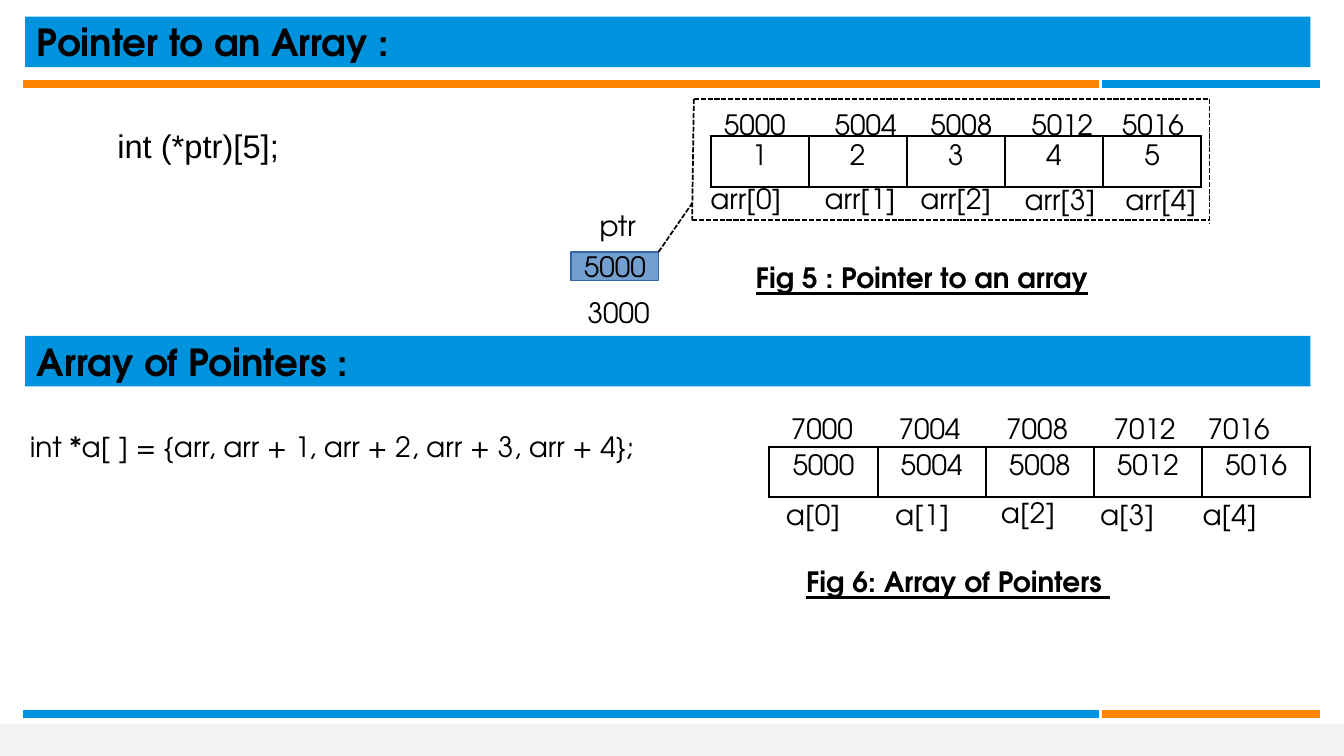
from dataclasses import dataclass

from lxml import etree
from pptx import Presentation
from pptx.dml.color import RGBColor
from pptx.enum.dml import MSO_LINE
from pptx.enum.shapes import MSO_CONNECTOR, MSO_SHAPE
from pptx.enum.text import MSO_ANCHOR, PP_ALIGN
from pptx.oxml.ns import qn
from pptx.util import Inches, Pt

RECT = MSO_SHAPE.RECTANGLE
STRAIGHT = MSO_CONNECTOR.STRAIGHT
DASH = MSO_LINE.SQUARE_DOT
CENTER, LEFT = PP_ALIGN.CENTER, PP_ALIGN.LEFT
MIDDLE, TOP = MSO_ANCHOR.MIDDLE, MSO_ANCHOR.TOP

FONT = "TeX Gyre Adventor"
BLACK, BLUE, ORANGE = "000000", "0093DD", "FF8500"
TEXT_HEIGHT = 0.29


@dataclass
class Label:
    text: str
    left: float
    top: float
    width: float = 0.75
    size: int = 12
    font: str = FONT
    bold: bool = False
    underline: bool = False


@dataclass
class ArrayRow:
    left: float
    top: float
    width: float
    values: list[str]
    addresses: list[str]
    address_lefts: list[float]
    address_top: float
    name: str
    name_lefts: list[float]
    name_tops: list[float]


def color(value: str) -> RGBColor:
    return RGBColor.from_string(value)


def add_run(p, text: str, size: int = 12, font: str = FONT,
            bold: bool = False, underline: bool = False) -> None:
    r = p.add_run()
    r.text = text
    r.font.size, r.font.name = Pt(size), font
    r.font.bold, r.font.underline = bold, underline
    r.font.color.rgb = color(BLACK)


def add_label(s, label: Label) -> None:
    box = s.shapes.add_textbox(Inches(label.left), Inches(label.top),
                               Inches(label.width), Inches(TEXT_HEIGHT))
    tf = box.text_frame
    tf.word_wrap = True
    add_run(tf.paragraphs[0], label.text, label.size, label.font,
            label.bold, label.underline)


def add_box(s, left: float, top: float, width: float, height: float, fill: str,
            line: str | None = None):
    sp = s.shapes.add_shape(RECT, Inches(left), Inches(top),
                            Inches(width), Inches(height))
    sp.shadow.inherit = False
    sp.fill.solid()
    sp.fill.fore_color.rgb = color(fill)
    if line:
        sp.line.color.rgb = color(line)
        sp.line.width = Pt(0.75)
    else:
        sp.line.fill.background()
    return sp


def add_heading(s, text: str, top: float) -> None:
    tf = add_box(s, 0.15, top, 7.65, 0.3, BLUE).text_frame
    tf.margin_left = tf.margin_right = Inches(0.07)
    tf.margin_top = tf.margin_bottom = Inches(0.04)
    tf.vertical_anchor = MIDDLE
    tf.paragraphs[0].alignment = LEFT
    add_run(tf.paragraphs[0], text, 16, bold=True)


def add_line(s, x1: float, y1: float, x2: float, y2: float,
             line: str = BLACK, width: float = 0.75, dashed: bool = False) -> None:
    cx = s.shapes.add_connector(STRAIGHT, Inches(x1), Inches(y1),
                                Inches(x2), Inches(y2))
    cx.line.color.rgb = color(line)
    cx.line.width = Pt(width)
    if dashed:
        cx.line.dash_style = DASH
    etree.SubElement(cx.element.spPr, qn("a:effectLst"))


def add_borders(cell) -> None:
    tc_pr = cell._tc.get_or_add_tcPr()
    for i, side in enumerate(("lnL", "lnR", "lnT", "lnB")):
        ln = etree.Element(qn(f"a:{side}"), w=str(Pt(1)))
        fill = etree.SubElement(ln, qn("a:solidFill"))
        etree.SubElement(fill, qn("a:srgbClr"), val=BLACK)
        tc_pr.insert(i, ln)


def add_array(s, row: ArrayRow) -> None:
    """Draw the cells of an array with addresses above and names below."""
    count = len(row.values)
    table = s.shapes.add_table(1, count, Inches(row.left), Inches(row.top),
                               Inches(row.width), Inches(0.3)).table
    table.first_row = table.horz_banding = False
    for i, value in enumerate(row.values):
        table.columns[i].width = Inches(row.width / count)
        cell = table.cell(0, i)
        cell.fill.background()
        cell.vertical_anchor = TOP
        cell.margin_left = cell.margin_right = Inches(0.05)
        cell.margin_top = cell.margin_bottom = Inches(0.05)
        p = cell.text_frame.paragraphs[0]
        p.alignment = CENTER
        add_run(p, value)
        add_borders(cell)
        add_label(s, Label(row.addresses[i], row.address_lefts[i], row.address_top))
        add_label(s, Label(f"{row.name}[{i}]", row.name_lefts[i], row.name_tops[i]))


def add_frame(s) -> None:
    """Draw the dashed frame around the array that ptr points to."""
    for side in ((4.13, 0.59, 7.2, 0.59), (7.2, 0.59, 7.2, 1.33),
                 (4.12, 1.31, 7.2, 1.31), (4.13, 0.59, 4.12, 1.31)):
        add_line(s, *side, dashed=True)


def add_pointer(s) -> None:
    add_label(s, Label("ptr", 3.47, 1.19))
    tf = add_box(s, 3.4, 1.5, 0.52, 0.17, "729FCF", "3465A4").text_frame
    tf.word_wrap = False
    tf.vertical_anchor = MIDDLE
    tf.paragraphs[0].alignment = CENTER
    add_run(tf.paragraphs[0], "5000")
    add_label(s, Label("3000", 3.4, 1.71))
    add_line(s, 3.92, 1.5, 4.12, 1.21, dashed=True)


def add_rules(s) -> None:
    for y, long_color, short_color in ((0.5, ORANGE, BLUE), (4.25, BLUE, ORANGE)):
        add_line(s, 0.14, y, 6.54, y, long_color, 3)
        add_line(s, 6.56, y, 7.86, y, short_color, 3)


ELEMENT_ADDRESSES = [str(5000 + 4 * i) for i in range(5)]
POINTER_ADDRESSES = [str(7000 + 4 * i) for i in range(5)]

ARR = ArrayRow(4.23, 0.81, 2.92, ["1", "2", "3", "4", "5"],
               ELEMENT_ADDRESSES, [4.21, 4.87, 5.44, 6.04, 6.58], 0.59,
               "arr", [4.13, 4.81, 5.38, 6.0, 6.6], [1.03, 1.03, 1.03, 1.04, 1.04])
POINTERS = ArrayRow(4.58, 2.66, 3.22, ELEMENT_ADDRESSES,
                    POINTER_ADDRESSES, [4.61, 5.25, 5.89, 6.53, 7.09], 2.4,
                    "a", [4.58, 5.23, 5.86, 6.45, 7.06], [2.91, 2.91, 2.9, 2.91, 2.91])


def main() -> None:
    prs = Presentation()
    prs.slide_width, prs.slide_height = Inches(8), Inches(4.5)
    s = prs.slides.add_slide(prs.slide_layouts[6])

    add_box(s, 0, 4.31, 8, 0.19, "F2F2F2")
    add_rules(s)

    add_heading(s, "Pointer to an Array :", 0.1)
    add_label(s, Label("int (*ptr)[5];", 0.6, 0.7, 2.1, 14, "Arial"))
    add_pointer(s)
    add_array(s, ARR)
    add_frame(s)
    add_label(s, Label("Fig 5 : Pointer to an array", 4.4, 1.5, 3.5,
                       bold=True, underline=True))

    add_heading(s, "Array of Pointers :", 2)
    add_label(s, Label("int *a[ ] = {arr, arr + 1, arr + 2, arr + 3, arr + 4};",
                       0.08, 2.51, 4.5))
    add_array(s, POINTERS)
    add_label(s, Label("Fig 6: Array of Pointers ", 4.7, 3.31, 3,
                       bold=True, underline=True))

    prs.save("out.pptx")


if __name__ == "__main__":
    main()
